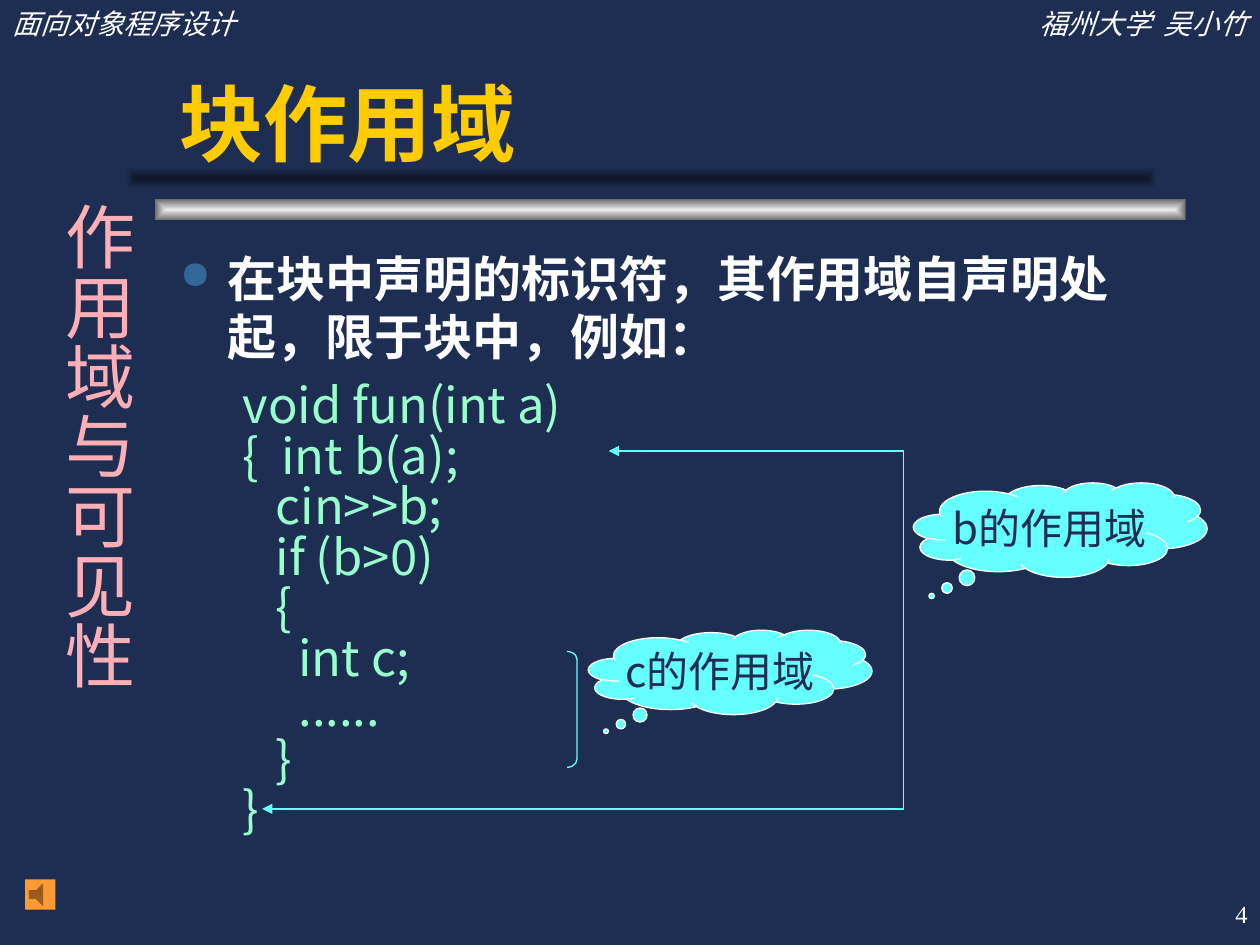
from lxml import etree
from pptx import Presentation
from pptx.dml.color import RGBColor
from pptx.enum.shapes import MSO_SHAPE
from pptx.enum.text import MSO_ANCHOR, MSO_AUTO_SIZE, PP_ALIGN
from pptx.oxml.ns import qn
from pptx.util import Inches, Pt

LEFT, CENTER, RIGHT = PP_ALIGN.LEFT, PP_ALIGN.CENTER, PP_ALIGN.RIGHT
TOP, MIDDLE, BOTTOM = MSO_ANCHOR.TOP, MSO_ANCHOR.MIDDLE, MSO_ANCHOR.BOTTOM
FIT_TEXT = MSO_AUTO_SIZE.SHAPE_TO_FIT_TEXT
RECTANGLE, CLOUD = MSO_SHAPE.RECTANGLE, MSO_SHAPE.CLOUD_CALLOUT
BRACKET, SOUND_BUTTON = MSO_SHAPE.RIGHT_BRACKET, MSO_SHAPE.ACTION_BUTTON_SOUND

SANS, SERIF, HEADING = "Noto Sans CJK SC", "Times New Roman", "Arial"
COLORS = {
    "navy": "1E2E53", "white": "FFFFFF", "gold": "FFCC00", "mint": "99FFCC",
    "cyan": "66FFFF", "pink": "FDAFB5", "bullet": "336699", "orange": "FF9933",
    "silver": "EAEAEA", "gray": "6B6B6B", "shade": "0D1526",
}
LINE_WIDTH = Pt(0.74)

# Code lines with their indent depth in inches
CODE = [
    (0, "void fun(int a)"), (0, "{  int b(a);"), (0.26, "cin>>b;"),
    (0.26, "if (b>0)"), (0.26, "{"), (0.44, "int c;"), (0.44, "......"),
    (0.26, "}"), (0, "}"),
]


def rgb(color):
    return RGBColor.from_string(COLORS[color])


def add_xml(parent, tag, **attributes):
    return etree.SubElement(parent, qn(tag), attributes)


def style_text(paragraph, text, size, color, font=SANS, bold=False,
               italic=False, align=LEFT):
    paragraph.text = text
    paragraph.alignment = align
    style = paragraph.font
    style.size, style.name = Pt(size), font
    style.bold, style.italic = bold, italic
    style.color.rgb = rgb(color)
    add_xml(style._element, "a:ea", typeface=SANS)


def add_text_box(slide, box, anchor=TOP):
    frame = slide.shapes.add_textbox(*map(Inches, box)).text_frame
    frame.word_wrap = True
    frame.vertical_anchor = anchor
    return frame


def add_label(slide, box, text, size, color, anchor=TOP, **style):
    frame = add_text_box(slide, box, anchor)
    style_text(frame.paragraphs[0], text, size, color, **style)
    return frame


def add_outline(shape, color=None):
    shape.shadow.inherit = False
    if color:
        shape.line.color.rgb = rgb(color)
        shape.line.width = LINE_WIDTH
    else:
        shape.line.fill.background()


def add_bar(slide, box, center, edge):
    bar = slide.shapes.add_shape(RECTANGLE, *map(Inches, box))
    add_outline(bar)
    bar.fill.background()
    properties = bar._element.spPr
    gradient = etree.Element(qn("a:gradFill"), rotWithShape="1")
    stops = add_xml(gradient, "a:gsLst")
    for position, color in (("0", center), ("100000", edge)):
        stop = add_xml(stops, "a:gs", pos=position)
        add_xml(stop, "a:srgbClr", val=COLORS[color])
    rays = add_xml(gradient, "a:path", path="rect")
    add_xml(rays, "a:fillToRect", l="50000", t="50000", r="50000", b="50000")
    properties.replace(properties.find(qn("a:noFill")), gradient)


def add_cloud(slide, box, text):
    cloud = slide.shapes.add_shape(CLOUD, *map(Inches, box))
    cloud.adjustments[0], cloud.adjustments[1] = -0.438, 0.7
    cloud.fill.solid()
    cloud.fill.fore_color.rgb = rgb("cyan")
    add_outline(cloud, "white")
    frame = cloud.text_frame
    frame.word_wrap = False
    frame.vertical_anchor = MIDDLE
    style_text(frame.paragraphs[0], text, 24, "navy", align=CENTER)


def add_scope_arrow(slide, points):
    corners = [(Inches(x), Inches(y)) for x, y in points]
    builder = slide.shapes.build_freeform(*corners[0], scale=1.0)
    builder.add_line_segments(corners[1:], close=False)
    arrow = builder.convert_to_shape()
    arrow.fill.background()
    add_outline(arrow, "cyan")
    for end in ("a:headEnd", "a:tailEnd"):
        add_xml(arrow.line._get_or_add_ln(), end, type="triangle")


def add_bullet(paragraph):
    properties = paragraph._p.get_or_add_pPr()
    properties.set("marL", str(Inches(0.38)))
    properties.set("indent", str(Inches(-0.38)))
    add_xml(add_xml(properties, "a:buClr"), "a:srgbClr", val=COLORS["bullet"])
    add_xml(properties, "a:buSzPct", val="80000")
    add_xml(properties, "a:buChar", char="●")


def add_body(slide):
    frame = add_text_box(slide, (1.33, 1.92, 7.92, 5))
    rule = frame.paragraphs[0]
    rule.space_before, rule.space_after = Pt(7), Pt(8.8)
    add_bullet(rule)
    style_text(rule, "在块中声明的标识符，其作用域自声明处起，限于块中，例如：",
               28, "white", bold=True)
    for depth, code in CODE:
        line = frame.add_paragraph()
        line.line_spacing, line.space_before = 0.65, Pt(7)
        line._p.get_or_add_pPr().set("marL", str(Inches(0.5 + depth)))
        style_text(line, code, 28, "mint")


def main():
    deck = Presentation()
    deck.slide_width, deck.slide_height = Inches(10), Inches(7.5)
    slide = deck.slides.add_slide(deck.slide_layouts[6])
    slide.background.fill.solid()
    slide.background.fill.fore_color.rgb = rgb("navy")

    # Title bars and page header
    add_bar(slide, (1.23, 1.58, 8.18, 0.17), "silver", "gray")
    add_bar(slide, (1, 1.33, 8.18, 0.17), "shade", "navy")
    for left, text, align in ((0, "面向对象程序设计", LEFT),
                              (6.92, "福州大学  吴小竹", RIGHT)):
        add_label(slide, (left, 0, 3.08, 0.37), text, 16, "white",
                  font=SERIF, italic=True, align=align)

    # Title and body
    add_label(slide, (1.33, 0.5, 7.92, 0.92), "块作用域", 48, "gold",
              anchor=BOTTOM, font=HEADING, bold=True)
    add_body(slide)

    # Scope of c
    add_cloud(slide, (4.67, 5, 2.25, 0.67), "c的作用域")
    bracket = slide.shapes.add_shape(
        BRACKET, *map(Inches, (4.5, 5.17, 0.08, 0.92)))
    bracket.adjustments[0] = 0.83
    bracket.fill.background()
    add_outline(bracket, "cyan")

    # Scope of b
    add_scope_arrow(slide, [(4.83, 3.58), (7.17, 3.58), (7.17, 6.42), (2.08, 6.42)])
    add_cloud(slide, (7.25, 3.83, 2.33, 0.75), "b的作用域")

    # Vertical chapter name
    chapter = add_label(slide, (0.3, 1.5, 0.86, 4.83), "作用域与可见性",
                        40, "pink", font=SERIF)
    chapter.margin_left = chapter.margin_right = Inches(0.05)
    chapter.margin_top = chapter.margin_bottom = Inches(0.1)
    chapter.auto_size = FIT_TEXT
    chapter._txBody.bodyPr.set("vert", "eaVert")

    # Sound button and page number
    button = slide.shapes.add_shape(
        SOUND_BUTTON, *map(Inches, (0.2, 6.98, 0.24, 0.24)))
    button.fill.solid()
    button.fill.fore_color.rgb = rgb("orange")
    add_outline(button)
    add_label(slide, (7.92, 7, 2.08, 0.5), "4", 14, "white",
              anchor=MIDDLE, font=SERIF, align=RIGHT)

    deck.save("out.pptx")


main()
